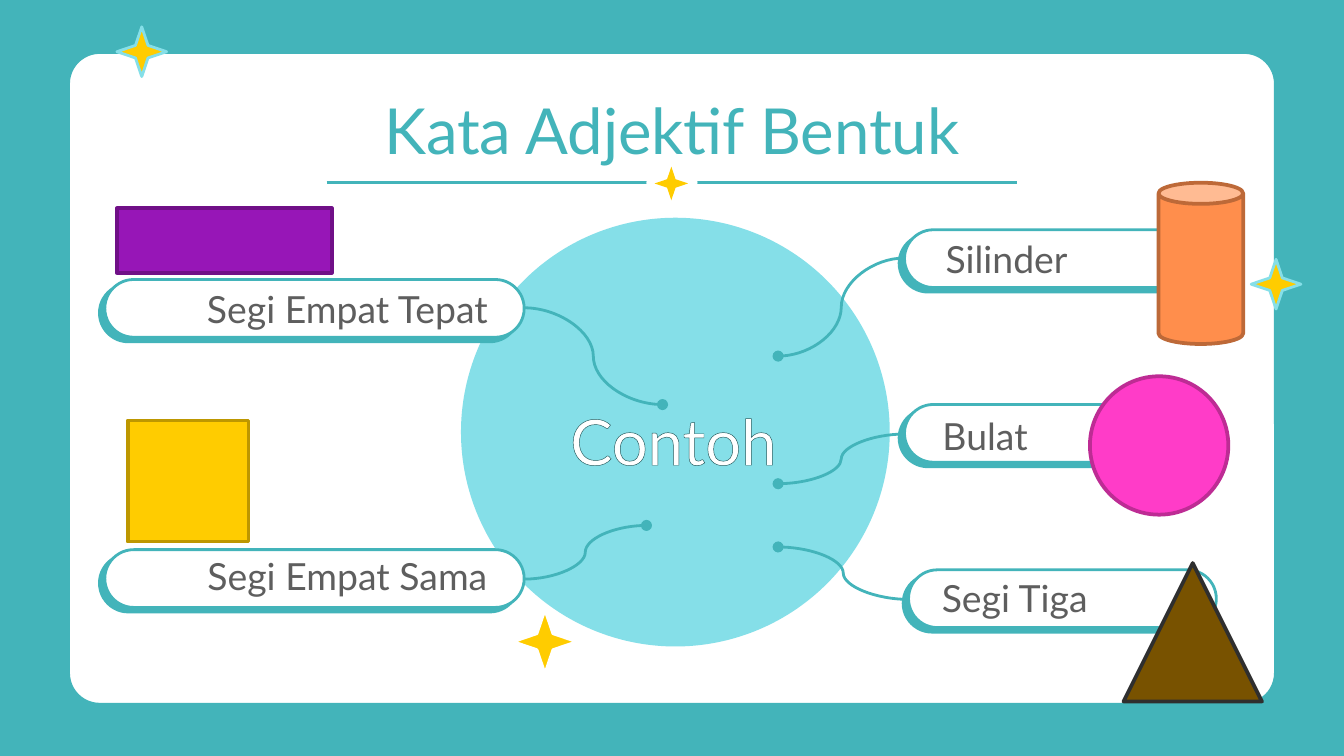
from lxml import etree
from pptx import Presentation
from pptx.dml.color import RGBColor
from pptx.enum.shapes import MSO_CONNECTOR as Connector, MSO_SHAPE as Shape
from pptx.enum.text import MSO_ANCHOR as Anchor, MSO_AUTO_SIZE as AutoSize, PP_ALIGN as Align
from pptx.oxml import parse_xml
from pptx.oxml.ns import nsdecls, qn
from pptx.util import Inches, Pt

COLORS = {
    "teal": "43B4BA", "aqua": "85DFE8", "white": "FFFFFF", "gray": "5E5E5E",
    "yellow": "FFCC00", "gold": "BD9700", "purple": "9716B7", "plum": "701087",
    "orange": "FF8E4C", "rust": "BD6938", "pink": "FF3CC8", "magenta": "BD2C94",
    "brown": "785200", "charcoal": "2F2F2F", "outline": "225A5D",
}
FONT = "Lato"
SLIDE_WIDTH = 10
STAR_POINT = 0.179
PILL_HEIGHT = 0.43
PILLS = [
    (0.78, 4.09, 3.12), (0.78, 2.08, 3.12),
    (6.73, 3.01, 2.29), (6.73, 1.71, 2.29), (6.76, 4.24, 2.29),
]
CURVES = [
    (3.9, 2.29, 4.93, 3.01), (3.9, 4.31, 4.81, 3.91),
    (6.73, 1.92, 5.79, 2.65), (6.73, 3.23, 5.79, 3.6), (6.76, 4.46, 5.79, 4.07),
]
LABELS = [
    ("Silinder", 6.42, 1.81, 2.14), ("Segi Empat Tepat", 1.06, 2.18, 3.05),
    ("Segi Tiga", 6.48, 4.33, 2.14), ("Bulat", 6.26, 3.13, 2.14),
    ("Segi Empat Sama", 1.06, 4.17, 3.05),
]
EXAMPLES = [
    (Shape.RECTANGLE, (0.87, 1.55, 1.6, 0.48), "purple", "plum"),
    (Shape.RECTANGLE, (0.95, 3.13, 0.9, 0.9), "yellow", "gold"),
    (Shape.CAN, (8.62, 1.36, 0.63, 1.2), "orange", "rust"),
    (Shape.OVAL, (8.11, 2.8, 1.03, 1.03), "pink", "magenta"),
    (Shape.ISOSCELES_TRIANGLE, (8.36, 4.19, 1.03, 1.03), "brown", "charcoal"),
]


def color(name):
    return RGBColor.from_string(COLORS[name])


def add_figure(slide, kind, box, fill, line=None, width=1.5, adjustment=None):
    shape = slide.shapes.add_shape(kind, *map(Inches, box))
    shape.shadow.inherit = False
    shape.fill.solid()
    shape.fill.fore_color.rgb = color(fill)
    if line:
        shape.line.color.rgb = color(line)
        shape.line.width = Pt(width)
    else:
        shape.line.fill.background()
    if adjustment is not None:
        shape.adjustments[0] = adjustment
    return shape


def add_star(slide, left, top, size, line=None):
    add_figure(slide, Shape.STAR_4_POINT, (left, top, size, size), "yellow", line,
               adjustment=STAR_POINT)


def add_pill(slide, left, top, width):
    shape = add_figure(slide, Shape.ROUNDED_RECTANGLE, (left, top, width, PILL_HEIGHT),
                       "white", "teal", adjustment=0.5)
    effects = shape._element.spPr.find(qn("a:effectLst"))
    effects.append(parse_xml(
        f'<a:outerShdw {nsdecls("a")} dist="{Pt(3.8)}" dir="{140 * 60000}" '
        f'algn="bl" rotWithShape="0"><a:srgbClr val="{COLORS["teal"]}"/></a:outerShdw>'))


def add_line(slide, kind, points, dot=False):
    connector = slide.shapes.add_connector(kind, *map(Inches, points))
    connector.line.color.rgb = color("teal")
    connector.line.width = Pt(1.5)
    if dot:
        etree.SubElement(connector.line._get_or_add_ln(), qn("a:tailEnd"), type="oval")
    etree.SubElement(connector._element.spPr, qn("a:effectLst"))


def write_text(shape, text, size, text_color, anchor=Anchor.TOP):
    frame = shape.text_frame
    frame.word_wrap = True
    frame.auto_size = AutoSize.NONE
    frame.vertical_anchor = anchor
    frame.margin_left = frame.margin_right = Inches(0.1)
    frame.margin_top = frame.margin_bottom = Inches(0.1)
    paragraph = frame.paragraphs[0]
    paragraph.text = text
    paragraph.alignment = Align.CENTER
    paragraph.font.name = FONT
    paragraph.font.size = Pt(size)
    paragraph.font.color.rgb = color(text_color)
    return paragraph


def add_text(slide, box, *style):
    return write_text(slide.shapes.add_textbox(*map(Inches, box)), *style)


def add_title(slide, text):
    title = slide.shapes.title
    title.left, title.top, title.width, title.height = map(Inches, (0.78, 0.58, 8.44, 0.63))
    write_text(title, text, 34, "teal")
    slide.shapes._spTree.append(title._element)


def outline_text(paragraph):
    properties = paragraph.runs[0]._r.get_or_add_rPr()
    properties.insert(0, parse_xml(
        f'<a:ln {nsdecls("a")} w="{Pt(0.75)}"><a:solidFill>'
        f'<a:srgbClr val="{COLORS["outline"]}"/></a:solidFill></a:ln>'))


def main():
    """Build the slide on adjectives of shape."""
    presentation = Presentation()
    presentation.slide_width = Inches(SLIDE_WIDTH)
    presentation.slide_height = Inches(SLIDE_WIDTH * 9 / 16)
    slide = presentation.slides.add_slide(presentation.slide_layouts[5])
    slide.background.fill.solid()
    slide.background.fill.fore_color.rgb = color("teal")

    add_figure(slide, Shape.ROUNDED_RECTANGLE, (0.51, 0.39, 8.98, 4.85), "white", "teal",
               adjustment=0.048)
    add_star(slide, 0.87, 0.2, 0.37, "aqua")
    add_star(slide, 9.31, 1.93, 0.37, "aqua")
    add_figure(slide, Shape.OVAL, (3.43, 1.62, 3.19, 3.19), "aqua")
    for pill in PILLS:
        add_pill(slide, *pill)

    add_title(slide, "Kata Adjektif Bentuk")
    add_line(slide, Connector.STRAIGHT, (2.43, 1.36, 7.57, 1.36))
    add_figure(slide, Shape.OVAL, (4.81, 1.17, 0.38, 0.38), "white")
    add_star(slide, 4.87, 1.24, 0.25)

    for points in CURVES:
        add_line(slide, Connector.CURVE, points, dot=True)
    add_star(slide, 3.82, 4.54, 0.47, "white")
    outline_text(add_text(slide, (3.9, 2.89, 2.22, 0.63), "Contoh", 34, "white"))
    for text, left, top, width in LABELS:
        add_text(slide, (left, top, width, 0.38), text, 20, "gray", Anchor.BOTTOM)
    for kind, box, fill, line in EXAMPLES:
        add_figure(slide, kind, box, fill, line, width=2)

    presentation.save("out.pptx")


if __name__ == "__main__":
    main()
